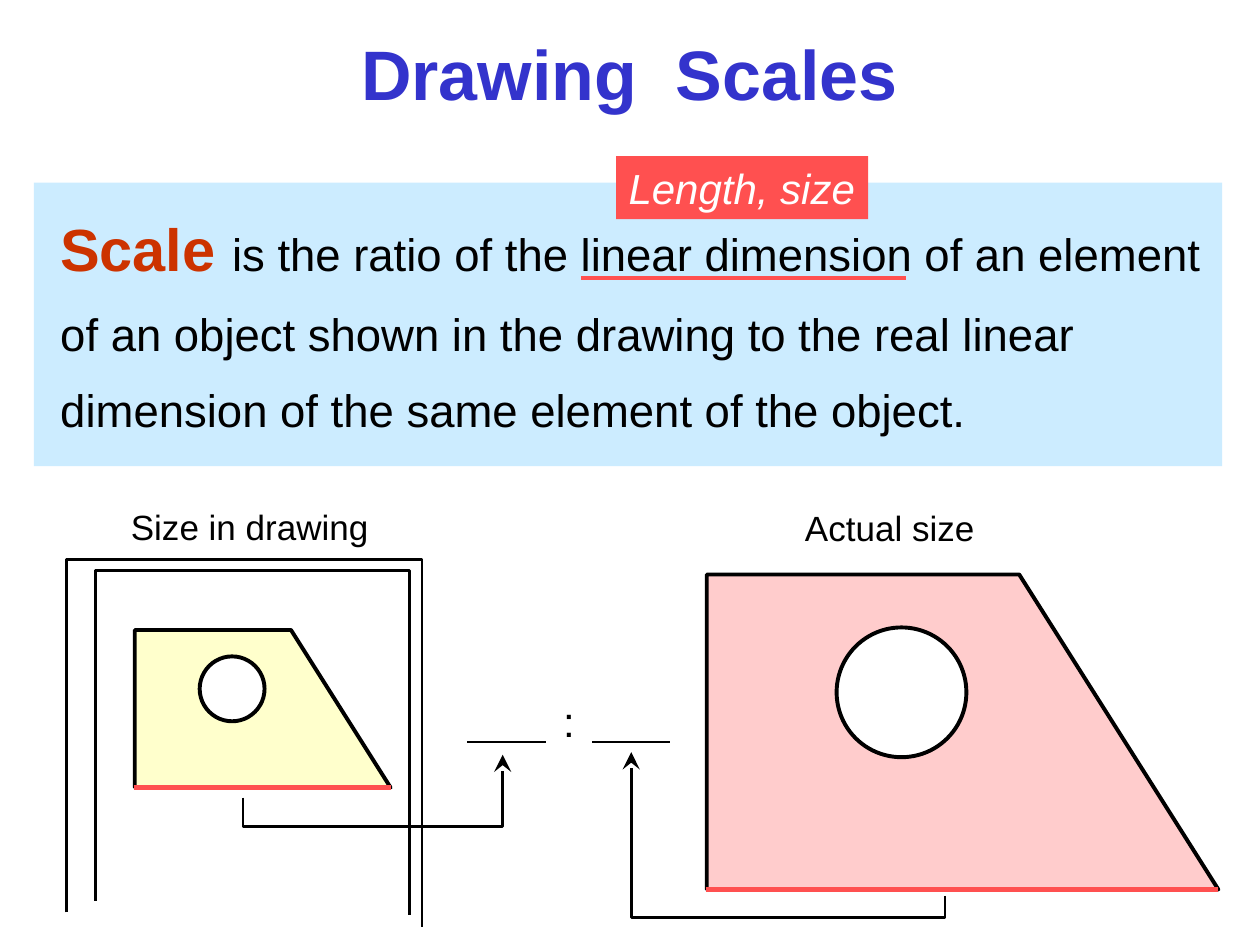
from pptx import Presentation
from pptx.dml.color import RGBColor
from pptx.enum.shapes import MSO_CONNECTOR, MSO_SHAPE
from pptx.enum.text import MSO_ANCHOR, MSO_AUTO_SIZE, PP_ALIGN
from pptx.oxml.ns import qn
from pptx.util import Inches, Pt
from lxml import etree

RECT, OVAL = MSO_SHAPE.RECTANGLE, MSO_SHAPE.OVAL
STRAIGHT = MSO_CONNECTOR.STRAIGHT
TOP, MIDDLE = MSO_ANCHOR.TOP, MSO_ANCHOR.MIDDLE
LEFT, CENTER = PP_ALIGN.LEFT, PP_ALIGN.CENTER
FIT = MSO_AUTO_SIZE.SHAPE_TO_FIT_TEXT

BLACK = RGBColor(0, 0, 0)
WHITE = RGBColor(255, 255, 255)
BLUE = RGBColor(0x33, 0x33, 0xCC)
PALE_BLUE = RGBColor(0xCC, 0xEC, 0xFF)
BRICK = RGBColor(0xCC, 0x33, 0x00)
RED = RGBColor(0xFF, 0x50, 0x50)
PINK = RGBColor(0xFF, 0xCC, 0xCC)
YELLOW = RGBColor(0xFF, 0xFF, 0xCC)

FONT = "Arial"


def style(sp, fill=None, line=None, width=0):
    sp.shadow.inherit = False
    if fill is None:
        sp.fill.background()
    else:
        sp.fill.solid()
        sp.fill.fore_color.rgb = fill
    if line is None:
        sp.line.fill.background()
    else:
        sp.line.color.rgb = line
        sp.line.width = Pt(width)


def add_shape(s, kind, box, **look):
    sp = s.shapes.add_shape(kind, *map(Inches, box))
    style(sp, **look)
    return sp


def set_font(font, size, color, bold=False, italic=False):
    font.name, font.size = FONT, Pt(size)
    font.bold, font.italic = bold, italic
    font.color.rgb = color


def write(sp, text, size, color, align=LEFT, anchor=TOP, wrap=False, **emphasis):
    tf = sp.text_frame
    tf.word_wrap = wrap
    if not wrap:
        tf.auto_size = FIT
    tf.vertical_anchor = anchor
    tf.text = text
    for p in tf.paragraphs:
        p.alignment = align
        set_font(p.font, size, color, **emphasis)
    return tf


def add_text(s, box, text, size, color=BLACK, **options):
    return write(s.shapes.add_textbox(*map(Inches, box)), text, size, color, **options)


def add_line(s, x1, x2, y, color, width):
    c = s.shapes.add_connector(STRAIGHT, *map(Inches, (x1, y, x2, y)))
    c.line.color.rgb = color
    c.line.width = Pt(width)
    etree.SubElement(c._element.spPr, qn("a:effectLst"))


def add_path(s, points, closed=False, arrow=False, **look):
    start, *rest = [(Inches(x), Inches(y)) for x, y in points]
    builder = s.shapes.build_freeform(*start)
    builder.add_line_segments(rest, close=closed)
    sp = builder.convert_to_shape()
    style(sp, line=BLACK, **look)
    if arrow:
        etree.SubElement(sp.line._get_or_add_ln(), qn("a:tailEnd"), type="stealth",
                         w="lg", len="lg")


def add_plate(s, x, y, scale, fill):
    """Plate with a hole and a red base edge, drawn at the given scale."""
    right, bottom = x + 2.03 * scale, y + 1.25 * scale
    add_path(s, [(x, y), (x + 1.24 * scale, y), (right, bottom), (x, bottom)],
             closed=True, fill=fill, width=2.25)
    hole = 0.515 * scale
    add_shape(s, OVAL, (x + hole, y + 0.21 * scale, hole, hole),
              fill=WHITE, line=BLACK, width=2.25)
    add_line(s, x - 0.01, right, bottom, RED, 3)


def add_definition(s):
    add_shape(s, RECT, (0.27, 1.45, 9.43, 2.25), fill=PALE_BLUE)
    tf = add_text(s, (0.38, 1.41, 9.27, 2.11),
                  "is the ratio of the linear dimension of an element\n"
                  "of an object shown in the drawing to the real linear\n"
                  "dimension of the same element of the object.", 26)
    for p in tf.paragraphs:
        p.line_spacing = 1.4
    # Emphasised term in front of the first line
    p = tf.paragraphs[0]
    rest = p.runs[0].text
    p.runs[0].text = "Scale "
    set_font(p.runs[0].font, 34, BRICK, bold=True)
    p.add_run().text = rest
    add_line(s, 4.61, 7.19, 2.21, RED, 2.25)
    note = add_shape(s, RECT, (4.89, 1.24, 2, 0.5), fill=RED)
    write(note, "Length, size", 24, WHITE, italic=True)


def main():
    prs = Presentation()
    prs.slide_width, prs.slide_height = Inches(10), Inches(7.5)
    s = prs.slides.add_slide(prs.slide_layouts[6])

    # Title and definition
    add_text(s, (0.29, 0.18, 9.41, 0.79), "Drawing  Scales", 40, BLUE,
             align=CENTER, anchor=MIDDLE, wrap=True, bold=True)
    add_definition(s)

    # Captions
    add_text(s, (0.94, 3.96, 2.09, 0.43), "Size in drawing", 20)
    add_text(s, (6.29, 3.97, 1.55, 0.43), "Actual size", 20)

    # Drawing sheet: edge and border
    for left, top, right, left_end, right_end in ((0.53, 4.44, 3.35, 7.24, 7.36),
                                                  (0.76, 4.53, 3.25, 7.15, 7.26)):
        add_path(s, [(left, left_end), (left, top), (right, top), (right, right_end)],
                 width=1.5)

    # The same plate at both sizes
    add_plate(s, 5.61, 4.56, 2, PINK)
    add_plate(s, 1.07, 5, 1, YELLOW)

    # Ratio blanks
    add_text(s, (4.37, 5.47, 0.29, 0.5), ":", 24)
    for x in (3.71, 4.7):
        add_line(s, x, x + 0.62, 5.89, BLACK, 0.75)

    # Arrows from each base edge to its blank
    for x1, y1, low, x2, y2 in ((1.93, 6.33, 6.56, 3.99, 5.99),
                                (7.5, 7.11, 7.28, 5.01, 5.97)):
        add_path(s, [(x1, y1), (x1, low), (x2, low), (x2, y2)], arrow=True, width=1.5)

    prs.save("out.pptx")


if __name__ == "__main__":
    main()
